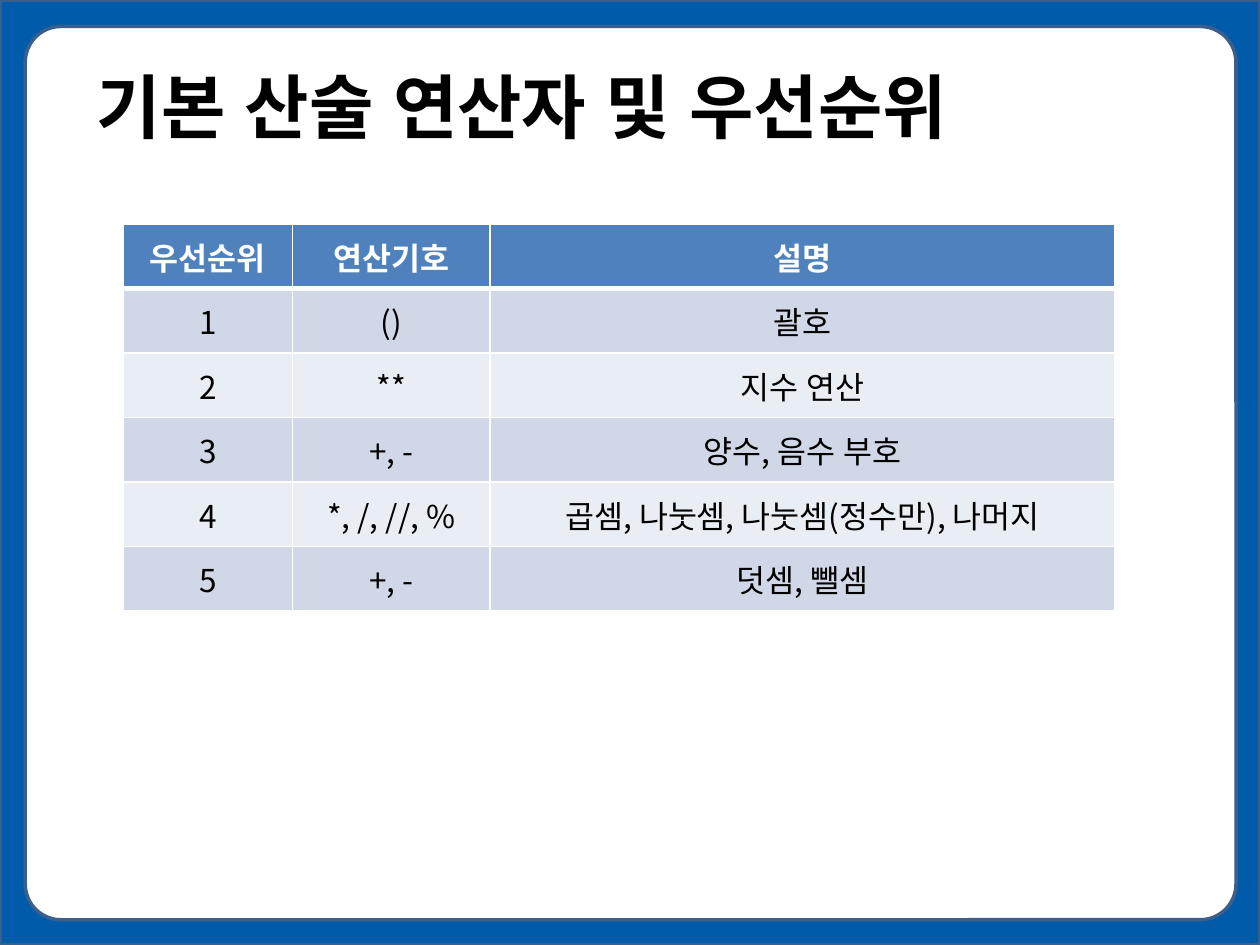
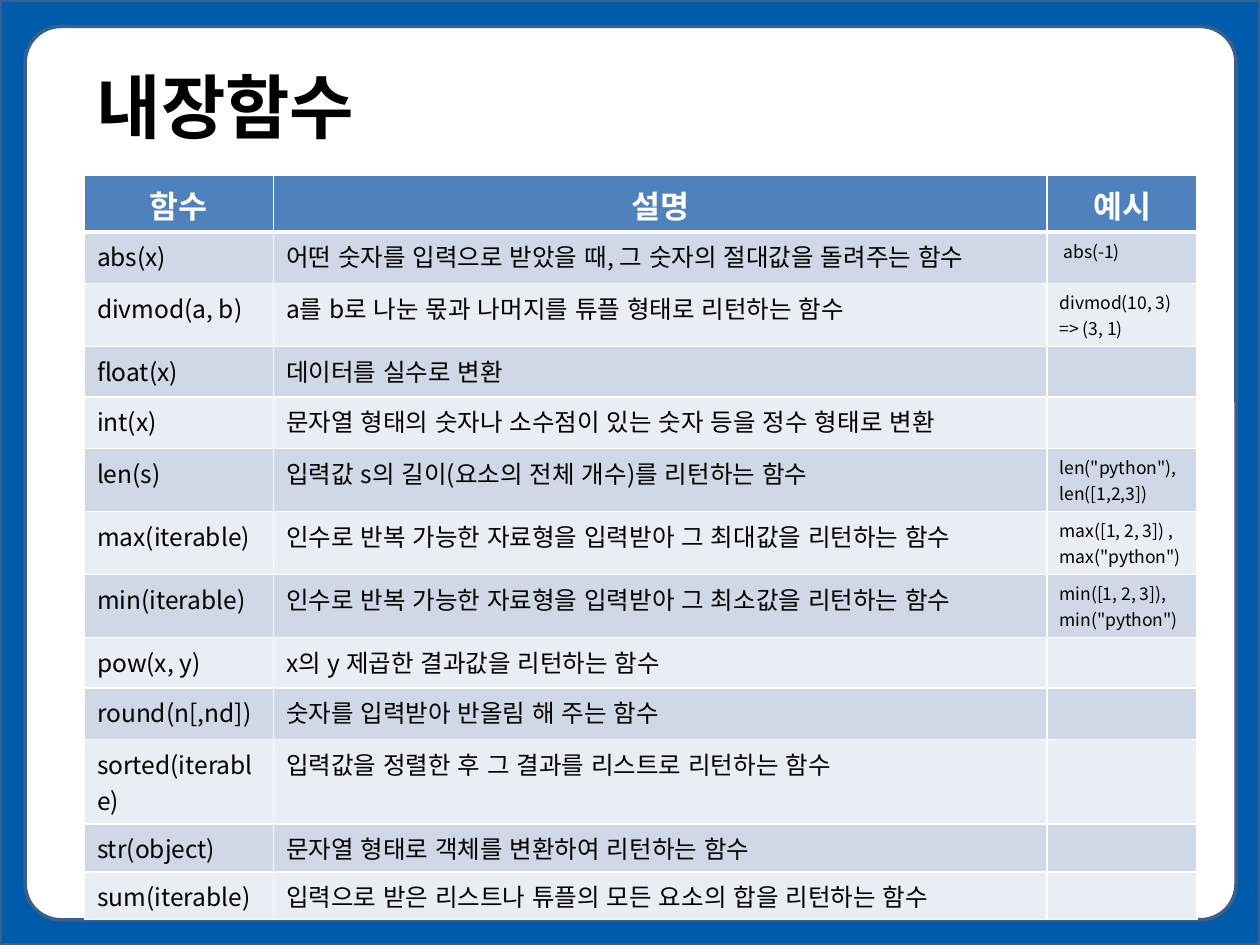
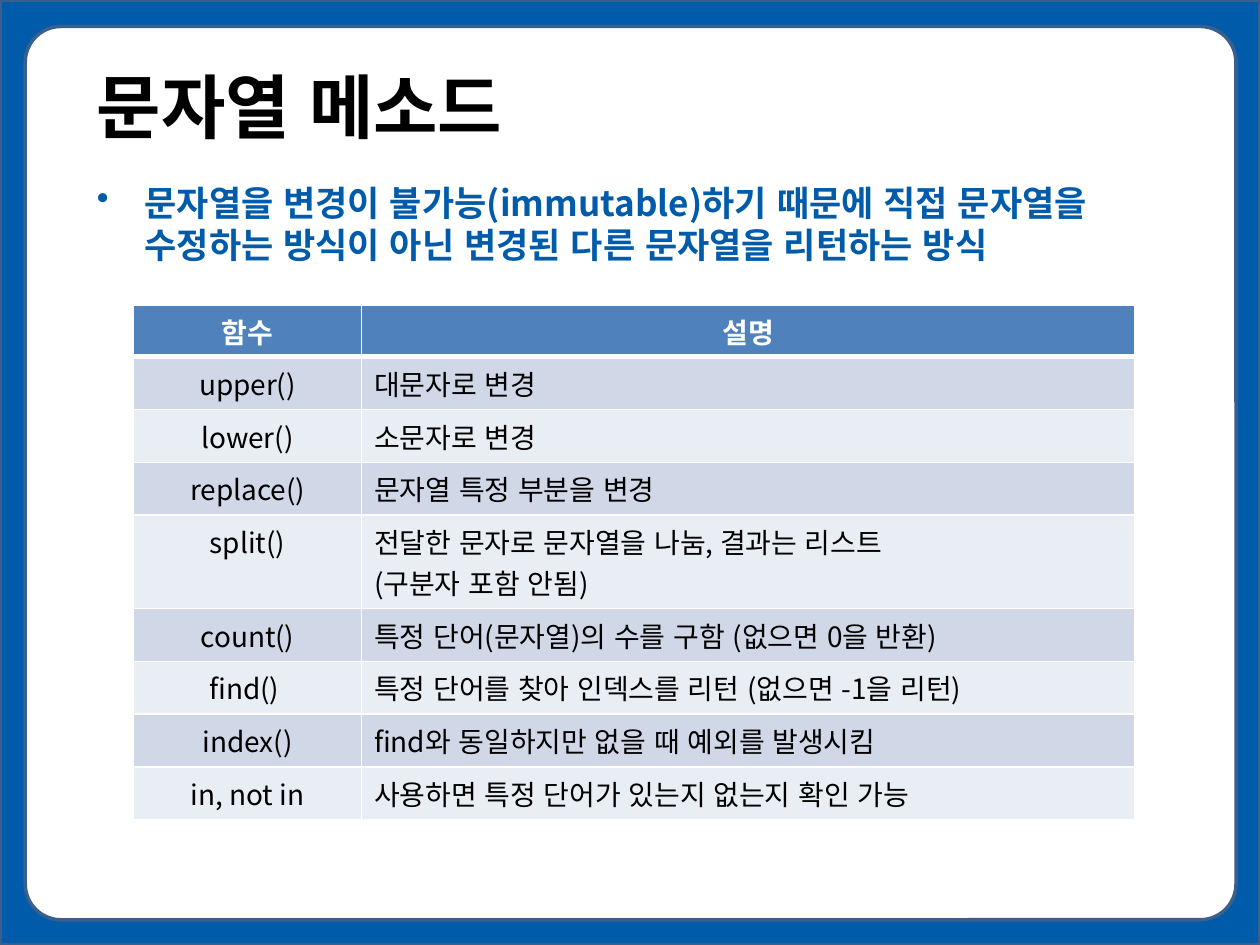
"""Build three slides on operators, built-in functions and string methods."""
from dataclasses import dataclass

import lxml.etree
import pptx
import pptx.dml.color
import pptx.enum.shapes
import pptx.enum.text
import pptx.oxml.ns
import pptx.util

Inches = pptx.util.Inches
Pt = pptx.util.Pt
ALIGN = pptx.enum.text.PP_ALIGN
ANCHOR = pptx.enum.text.MSO_ANCHOR
SHAPE = pptx.enum.shapes.MSO_SHAPE
qn = pptx.oxml.ns.qn

FONT = "Noto Sans CJK KR"
COLORS = {
    "frame": "005BAA",
    "outline": "3A5F8C",
    "white": "FFFFFF",
    "black": "000000",
    "header": "4F81BD",
    "odd": "D0D8E8",
    "even": "E9EDF4",
}
LEFT, CENTER = ALIGN.LEFT, ALIGN.CENTER


@dataclass
class Column:
    """One table column: its width, body text size and alignment."""
    width: float
    size: int
    align: ALIGN = LEFT


@dataclass
class TableSpec:
    """Place, columns, row heights and contents of a table."""
    left: float
    top: float
    columns: list[Column]
    heights: list[float]
    header_size: int
    rows: list[tuple[str, ...]]
    anchor: ANCHOR = ANCHOR.TOP


def color(name: str) -> pptx.dml.color.RGBColor:
    """Return a palette colour."""
    return pptx.dml.color.RGBColor.from_string(COLORS[name])


def write(tf, text: str, size: int, ink: str, bold: bool, align: ALIGN = LEFT) -> None:
    """Put uniformly styled Korean text in a frame."""
    tf.text = text
    for p in tf.paragraphs:
        p.alignment = align
        p.font.name = FONT
        p.font.size = Pt(size)
        p.font.bold = bold
        p.font.color.rgb = color(ink)
        props = p._p.pPr.find(qn("a:defRPr"))
        props.set("lang", "ko-KR")
        props.find(qn("a:latin")).addnext(props.makeelement(qn("a:ea"), {"typeface": FONT}))
        for r in p.runs:
            r.font.language_id = pptx.enum.lang.MSO_LANGUAGE_ID.KOREAN
        if not text:
            lxml.etree.SubElement(p._p, qn("a:endParaRPr"), sz=str(size * 100))


def add_panel(s, kind: SHAPE, box: tuple[float, ...], fill: str):
    """Draw one outlined background panel."""
    sp = s.shapes.add_shape(kind, *map(Inches, box))
    sp.shadow.inherit = False
    sp.fill.solid()
    sp.fill.fore_color.rgb = color(fill)
    sp.line.color.rgb = color("outline")
    sp.line.width = Pt(2)
    return sp


def add_text(s, top: float, text: str, size: int, ink: str):
    """Add a bold text box of the shared width and return its frame."""
    tf = s.shapes.add_textbox(Inches(0.67), Inches(top), Inches(8.83), Inches(0.79)).text_frame
    tf.word_wrap = True
    write(tf, text, size, ink, True)
    return tf


def add_slide(prs, title: str):
    """Add a framed slide with its title."""
    s = prs.slides.add_slide(prs.slide_layouts[6])
    add_panel(s, SHAPE.RECTANGLE, (0, 0, 10, 7.5), "frame")
    add_panel(s, SHAPE.ROUNDED_RECTANGLE, (0.2, 0.21, 9.61, 7.09), "white").adjustments[0] = 0.04
    add_text(s, 0.44, title, 40, "black").vertical_anchor = ANCHOR.MIDDLE
    return s


def add_bullet(s, text: str) -> None:
    """Add the bulleted lead paragraph."""
    p = add_text(s, 1.39, text, 20, "frame").paragraphs[0]
    p.space_before = Pt(4)
    props = p._p.pPr
    props.set("marL", str(Inches(0.38)))
    props.set("indent", str(-Inches(0.38)))
    bullet = props.makeelement(qn("a:buChar"), {"char": "•"})
    props.find(qn("a:defRPr")).addprevious(bullet)


def set_borders(cell, top: float, bottom: float) -> None:
    """Give a cell white borders."""
    props = cell._tc.get_or_add_tcPr()
    for side, width in (("L", 1), ("R", 1), ("T", top), ("B", bottom)):
        ln = lxml.etree.SubElement(props, qn(f"a:ln{side}"), w=str(Pt(width)))
        fill = lxml.etree.SubElement(ln, qn("a:solidFill"))
        lxml.etree.SubElement(fill, qn("a:srgbClr"), val=COLORS["white"])


def add_table(s, spec: TableSpec) -> None:
    """Draw a table with a header and alternating rows."""
    width = sum(column.width for column in spec.columns)
    box = map(Inches, (spec.left, spec.top, width, sum(spec.heights)))
    table = s.shapes.add_table(len(spec.rows), len(spec.columns), *box).table
    for c, column in enumerate(spec.columns):
        table.columns[c].width = Inches(column.width)
    for r, (height, texts) in enumerate(zip(spec.heights, spec.rows)):
        table.rows[r].height = Inches(height)
        for c, (column, text) in enumerate(zip(spec.columns, texts)):
            cell = table.cell(r, c)
            cell.vertical_anchor = spec.anchor
            set_borders(cell, 3 if r == 1 else 1, 3 if r == 0 else 1)
            cell.fill.solid()
            if r == 0:
                cell.fill.fore_color.rgb = color("header")
                write(cell.text_frame, text, spec.header_size, "white", True, CENTER)
            else:
                cell.fill.fore_color.rgb = color("odd" if r % 2 else "even")
                write(cell.text_frame, text, column.size, "black", False, column.align)


OPERATORS = TableSpec(
    0.98, 1.78,
    [Column(1.34, 18, CENTER), Column(1.57, 18, CENTER), Column(4.96, 18, CENTER)],
    [3.07 / 6] * 6, 18,
    [
        ("우선순위", "연산기호", "설명"),
        ("1", "()", "괄호"),
        ("2", "**", "지수 연산"),
        ("3", "+, -", "양수, 음수 부호"),
        ("4", "*, /, //, %", "곱셈, 나눗셈, 나눗셈(정수만), 나머지"),
        ("5", "+, -", "덧셈, 뺄셈"),
    ],
    ANCHOR.MIDDLE,
)

FUNCTIONS = TableSpec(
    0.67, 1.39,
    [Column(1.5, 14), Column(6.14, 14), Column(1.19, 10)],
    [0.45, 0.41, 0.5, 0.4, 0.41, 0.5, 0.5, 0.5, 0.4, 0.41, 0.67, 0.38, 0.38], 18,
    [
        ("함수", "설명", "예시"),
        ("abs(x)", "어떤 숫자를 입력으로 받았을 때, 그 숫자의 절대값을 돌려주는 함수", " abs(-1)"),
        ("divmod(a, b)", "a를 b로 나눈 몫과 나머지를 튜플 형태로 리턴하는 함수", "divmod(10, 3)\n=> (3, 1)"),
        ("float(x)", "데이터를 실수로 변환", ""),
        ("int(x)", "문자열 형태의 숫자나 소수점이 있는 숫자 등을 정수 형태로 변환", ""),
        ("len(s)", "입력값 s의 길이(요소의 전체 개수)를 리턴하는 함수", 'len("python"), len([1,2,3])'),
        ("max(iterable)", "인수로 반복 가능한 자료형을 입력받아 그 최대값을 리턴하는 함수",
         'max([1, 2, 3]) , max("python")'),
        ("min(iterable)", "인수로 반복 가능한 자료형을 입력받아 그 최소값을 리턴하는 함수",
         'min([1, 2, 3]), min("python")'),
        ("pow(x, y)", "x의 y 제곱한 결과값을 리턴하는 함수", ""),
        ("round(n[,nd])", "숫자를 입력받아 반올림 해 주는 함수", ""),
        ("sorted(iterable)", "입력값을 정렬한 후 그 결과를 리스트로 리턴하는 함수", ""),
        ("str(object)", "문자열 형태로 객체를 변환하여 리턴하는 함수", ""),
        ("sum(iterable)", "입력으로 받은 리스트나 튜플의 모든 요소의 합을 리턴하는 함수", ""),
    ],
)

METHODS = TableSpec(
    1.06, 2.42,
    [Column(1.81, 16, CENTER), Column(6.14, 16)],
    [0.41] + [0.42] * 3 + [0.74] + [0.42] * 4, 16,
    [
        ("함수", "설명"),
        ("upper()", "대문자로 변경"),
        ("lower()", "소문자로 변경"),
        ("replace()", "문자열 특정 부분을 변경"),
        ("split()", "전달한 문자로 문자열을 나눔, 결과는 리스트\n(구분자 포함 안됨)"),
        ("count()", "특정 단어(문자열)의 수를 구함 (없으면 0을 반환)"),
        ("find() ", "특정 단어를 찾아 인덱스를 리턴 (없으면 -1을 리턴)"),
        ("index()", "find와 동일하지만 없을 때 예외를 발생시킴"),
        ("in, not in", "사용하면 특정 단어가 있는지 없는지 확인 가능"),
    ],
)


def main() -> None:
    """Build and save the presentation."""
    prs = pptx.Presentation()
    prs.slide_width, prs.slide_height = Inches(10), Inches(7.5)
    add_table(add_slide(prs, "기본 산술 연산자 및 우선순위"), OPERATORS)
    add_table(add_slide(prs, "내장함수"), FUNCTIONS)
    s = add_slide(prs, "문자열 메소드")
    add_bullet(s, "문자열을 변경이 불가능(immutable)하기 때문에 직접 문자열을 "
                  "수정하는 방식이 아닌 변경된 다른 문자열을 리턴하는 방식")
    add_table(s, METHODS)
    prs.save("out.pptx")


main()
